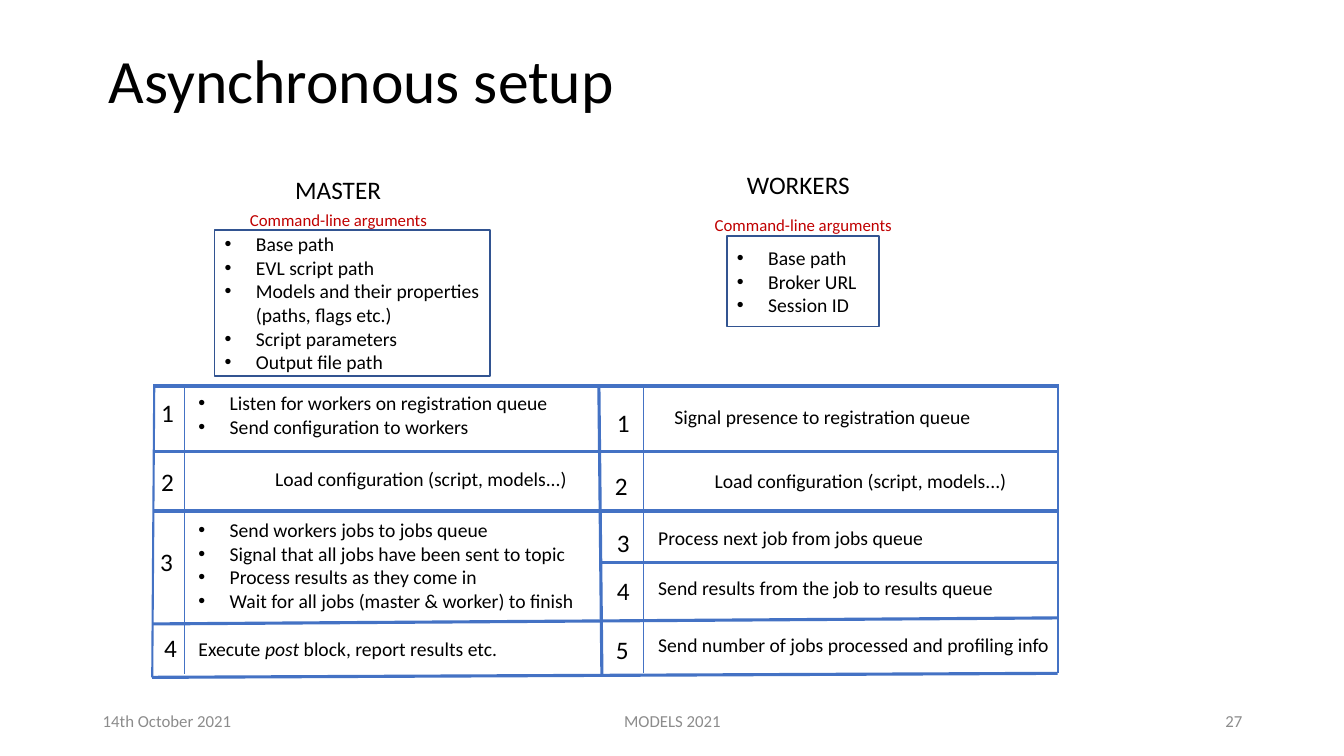
from dataclasses import dataclass

from lxml import etree
from pptx import Presentation
from pptx import util as u
from pptx.dml import color
from pptx.enum import shapes, text
from pptx.oxml import ns


@dataclass(frozen=True)
class Theme:
    font: str = "Calibri"
    ink: str = "000000"
    accent: str = "C00000"
    muted: str = "8C8C8C"
    rule: str = "4472C4"
    border: str = "325491"
    title: int = 44
    heading: int = 18
    body: int = 14
    small: int = 12
    thick: float = 2.25
    medium: float = 1.5
    thin: float = 1


class SlideBuilder:
    def __init__(self, slide, theme):
        self.slide = slide
        self.theme = theme

    def add_paragraphs(self, frame, paragraphs, size, ink=None, bullets=False,
                       align=text.PP_ALIGN.LEFT, spacing=None):
        """Each paragraph is a string or a list of (words, italic) spans."""
        for index, content in enumerate(paragraphs):
            para = frame.add_paragraph() if index else frame.paragraphs[0]
            if bullets:
                props = para._p.get_or_add_pPr()
                props.set("marL", str(u.Inches(0.31)))
                props.set("indent", str(u.Inches(-0.31)))
                font = etree.SubElement(props, ns.qn("a:buFont"))
                font.set("typeface", "Arial")
                etree.SubElement(props, ns.qn("a:buChar")).set("char", "•")
            para.alignment = align
            if spacing:
                para.line_spacing = spacing
            spans = [(content, False)] if isinstance(content, str) else content
            for words, italic in spans:
                span = para.add_run()
                span.text = words
                span.font.name = self.theme.font
                span.font.size = u.Pt(size)
                span.font.italic = italic
                span.font.color.rgb = color.RGBColor.from_string(ink or self.theme.ink)

    def label(self, place, paragraphs, size, wrap=True, middle=False, **style):
        box = self.slide.shapes.add_textbox(*map(u.Inches, place))
        frame = box.text_frame
        frame.word_wrap = wrap
        if middle:
            frame.vertical_anchor = text.MSO_ANCHOR.MIDDLE
        else:
            frame.auto_size = text.MSO_AUTO_SIZE.SHAPE_TO_FIT_TEXT
        self.add_paragraphs(frame, paragraphs, size, **style)

    def argument_box(self, place, arguments):
        box = self.slide.shapes.add_shape(
            shapes.MSO_SHAPE.RECTANGLE, *map(u.Inches, place))
        box.shadow.inherit = False
        box.fill.background()
        box.line.color.rgb = color.RGBColor.from_string(self.theme.border)
        box.line.width = u.Pt(self.theme.thin)
        box.text_frame.word_wrap = True
        box.text_frame.vertical_anchor = text.MSO_ANCHOR.MIDDLE
        self.add_paragraphs(box.text_frame, arguments, self.theme.body, bullets=True)

    def rule(self, ends, width):
        line = self.slide.shapes.add_connector(
            shapes.MSO_CONNECTOR.STRAIGHT, *map(u.Inches, ends))
        line.line.color.rgb = color.RGBColor.from_string(self.theme.rule)
        line.line.width = u.Pt(width)
        etree.SubElement(line._element.spPr, ns.qn("a:effectLst"))


def main():
    deck = Presentation()
    deck.slide_width, deck.slide_height = u.Inches(13.33), u.Inches(7.5)
    theme = Theme()
    page = SlideBuilder(deck.slides.add_slide(deck.slide_layouts[6]), theme)

    # Title
    page.label((0.98, 0.1, 11.5, 1.45), ["Asynchronous setup"], theme.title,
               middle=True, spacing=0.9)

    # Hand-ruled grid: columns, then rows
    left, right, top = 1.53, 10.49, 3.83
    for ends, width in [
        ((5.94, 3.84, 5.97, 6.69), theme.thick),
        ((1.83, top, 1.83, 6.69), theme.thin),
        ((6.38, top, 6.38, 6.68), theme.thin),
        ((left, 3.81, 1.51, 6.72), theme.medium),
        ((right, 3.81, right, 6.68), theme.medium),
    ]:
        page.rule(ends, width)
    for start, y1, y2 in [(left, top, top), (left, 4.48, 4.48), (left, 5.07, 5.07),
                          (5.96, 5.58, 5.58), (1.52, 6.19, 6.13), (1.51, 6.72, 6.68)]:
        page.rule((start, y1, right, y2), theme.thick)

    # Step numbers for the master, then the workers
    for steps in (
        [(1.5, 3.89), (1.5, 4.58), (1.49, 5.37), (1.53, 6.22)],
        [(6.02, 3.99), (6, 4.62), (6.02, 5.18), (6.02, 5.66), (6.01, 6.24)],
    ):
        for number, (x, y) in enumerate(steps, 1):
            page.label((x, y, 0.33, 0.4), [str(number)], theme.heading, wrap=False)

    # Master steps with several actions
    for place, actions in [
        ((1.87, 3.83, 3.88, 0.57), ["Listen for workers on registration queue",
                                    "Send configuration to workers"]),
        ((1.87, 5.09, 4.03, 1.04), ["Send workers jobs to jobs queue",
                                    "Signal that all jobs have been sent to topic",
                                    "Process results as they come in",
                                    "Wait for all jobs (master & worker) to finish"]),
    ]:
        page.label(place, actions, theme.body, bullets=True)

    # Steps with a single action
    load = "Load configuration (script, models...)"
    report = [("Execute ", False), ("post", True),
              (" block, report results etc.", False)]
    for x, y, width, action, wrap in [
        (2.63, 4.58, 3.16, load, True),
        (1.87, 6.27, 3.57, report, True),
        (6.59, 3.97, 3.69, "Signal presence to registration queue", True),
        (6.99, 4.6, 3.16, load, True),
        (6.43, 5.17, 2.85, "Process next job from jobs queue", False),
        (6.43, 5.66, 3.55, "Send results from the job to results queue", False),
        (6.43, 6.23, 4.23, "Send number of jobs processed and profiling info", True),
    ]:
        page.label((x, y, width, 0.34), [action], theme.body, wrap=wrap)

    # Roles and their command-line arguments
    for role, role_place, caption_at, box_place, arguments in [
        ("MASTER", (2.83, 1.68, 1.06, 0.4), (2.38, 2.03), (2.13, 2.28, 2.73, 1.45),
         ["Base path", "EVL script path",
          "Models and their properties (paths, flags etc.)",
          "Script parameters", "Output file path"]),
        ("WORKERS", (7.31, 1.63, 1.23, 0.4), (6.99, 2.08), (7.21, 2.34, 1.51, 0.9),
         ["Base path", "Broker URL", "Session ID"]),
    ]:
        page.label(role_place, [role], theme.heading, wrap=False)
        page.argument_box(box_place, arguments)
        page.label((*caption_at, 1.98, 0.3), ["Command-line arguments"],
                   theme.small, wrap=False, ink=theme.accent)

    # Footer
    for x, width, words, align in [
        (0.92, 3, "14th October 2021", text.PP_ALIGN.LEFT),
        (4.42, 4.5, "MODELS 2021", text.PP_ALIGN.CENTER),
        (9.42, 3, "27", text.PP_ALIGN.RIGHT),
    ]:
        page.label((x, 6.95, width, 0.4), [words], theme.small, middle=True,
                   ink=theme.muted, align=align)

    deck.save("out.pptx")


if __name__ == "__main__":
    main()
